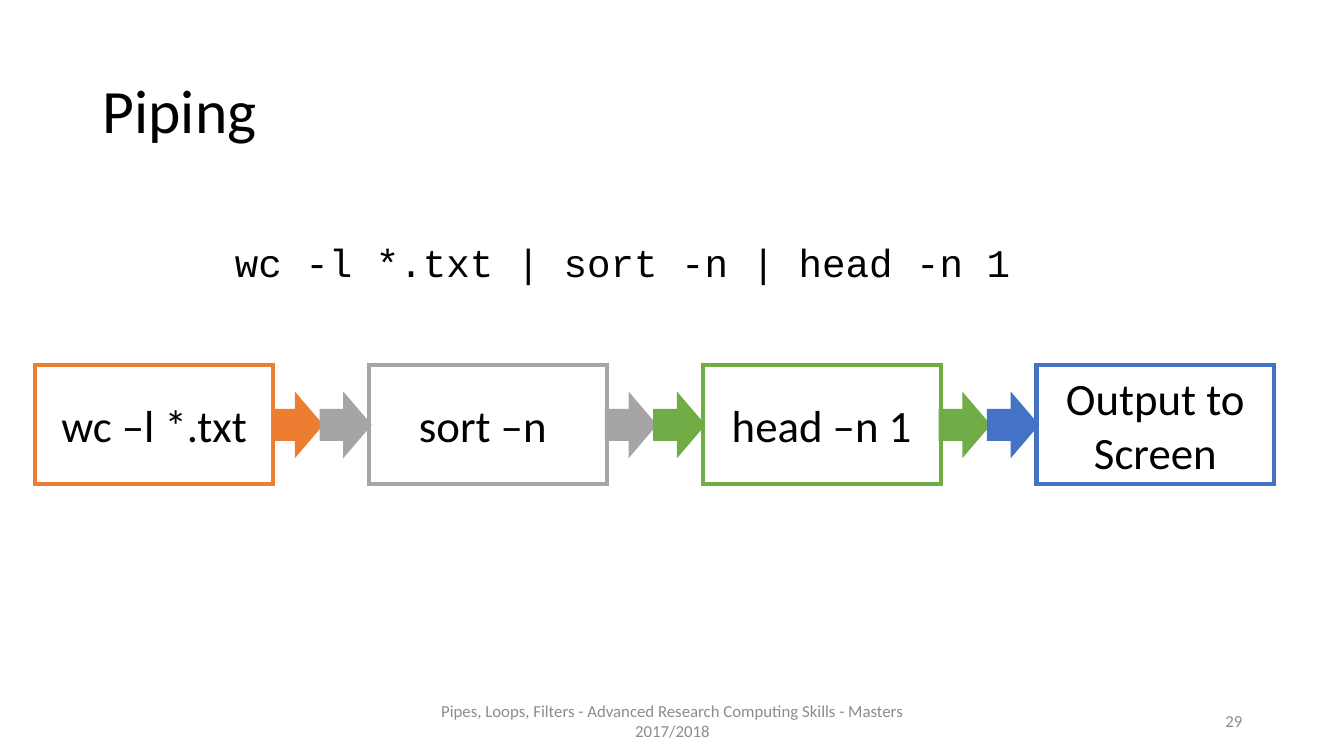
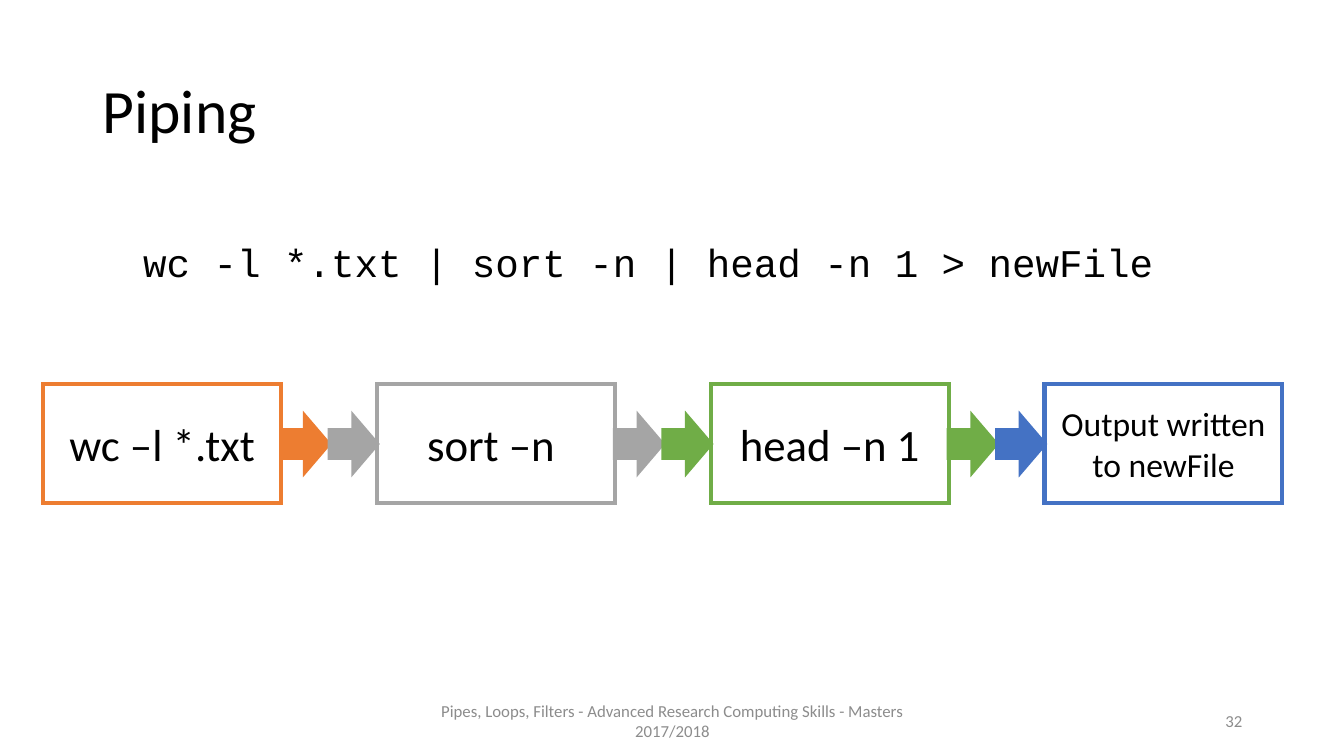
"""Build two slides that explain piping between shell commands."""
from dataclasses import dataclass
from itertools import pairwise

from lxml.etree import SubElement
from pptx import Presentation
from pptx.dml.color import RGBColor
from pptx.enum.shapes import MSO_SHAPE as Shape
from pptx.enum.text import MSO_ANCHOR as Anchor, PP_ALIGN as Align
from pptx.oxml.ns import qn
from pptx.shapes.autoshape import Shape as AutoShape
from pptx.shapes.shapetree import GroupShapes, SlideShapes
from pptx.text.text import TextFrame
from pptx.util import Emu, Pt


@dataclass(frozen=True)
class Theme:
    """Colours, fonts and type sizes of the deck."""
    ink: str = "000000"
    paper: str = "FFFFFF"
    muted: str = "8C8C8C"
    orange: str = "ED7D31"
    gray: str = "A5A5A5"
    green: str = "70AD47"
    blue: str = "4472C4"
    body_font: str = "Calibri"
    code_font: str = "Courier New"
    title_size: int = 44
    step_size: int = 32
    small_step_size: int = 24
    code_size: int = 28
    footer_size: int = 12
    line_width: int = 3


@dataclass(frozen=True)
class Frame:
    """A rectangle in px."""
    left: int
    top: int
    width: int
    height: int


@dataclass(frozen=True)
class Style:
    """The look of a piece of text."""
    size: int
    font: str
    color: str
    align: Align = Align.LEFT
    anchor: Anchor = Anchor.MIDDLE
    spacing: float = 1.0
    indent: int = 10


@dataclass(frozen=True)
class Step:
    """One stage of a pipeline."""
    label: str
    color: str
    size: int


@dataclass(frozen=True)
class PipingPage:
    """What differs from page to page."""
    number: int
    command: str
    command_frame: Frame
    flow_left: int
    flow_top: int
    output: Step


THEME = Theme()
EMU_PER_PX = 9144
PAGE_WIDTH, PAGE_HEIGHT = 1333, 750
STEP_WIDTH, STEP_HEIGHT, STEP_PITCH = 236, 118, 331
ARROW_WIDTH, ARROW_HEIGHT = 47, 55
TITLE_FRAME = Frame(92, 40, 1150, 145)
FOOTER_FRAME = Frame(392, 695, 550, 40)
NUMBER_FRAME = Frame(942, 695, 300, 40)
TITLE = "Piping"
FOOTER = "Pipes, Loops, Filters - Advanced Research Computing Skills - Masters 2017/2018"

TITLE_STYLE = Style(THEME.title_size, THEME.body_font, THEME.ink, spacing=0.9)
FOOTER_STYLE = Style(THEME.footer_size, THEME.body_font, THEME.muted, Align.CENTER)
NUMBER_STYLE = Style(THEME.footer_size, THEME.body_font, THEME.muted, Align.RIGHT)
CODE_STYLE = Style(THEME.code_size, THEME.code_font, THEME.ink, anchor=Anchor.TOP, indent=60)

COMMANDS = (
    Step("wc –l *.txt", THEME.orange, THEME.step_size),
    Step("sort –n ", THEME.gray, THEME.step_size),
    Step("head –n 1", THEME.green, THEME.step_size),
)
PAGES = (
    PipingPage(29, "wc -l *.txt | sort -n | head -n 1", Frame(173, 232, 858, 57), 35, 362,
               Step("Output to Screen", THEME.blue, THEME.step_size)),
    PipingPage(32, "wc -l *.txt | sort -n | head -n 1 > newFile", Frame(82, 232, 1097, 57), 43, 381,
               Step("Output written to newFile", THEME.blue, THEME.small_step_size)),
)


def px(length: int) -> Emu:
    """Turn px into EMU."""
    return Emu(length * EMU_PER_PX)


def place(frame: Frame) -> tuple[Emu, Emu, Emu, Emu]:
    """Give a frame as EMU lengths."""
    return px(frame.left), px(frame.top), px(frame.width), px(frame.height)


def set_all(target: object, values: dict[str, object]) -> None:
    """Set each named attribute of the target."""
    for name, value in values.items():
        setattr(target, name, value)


def write(text_frame: TextFrame, text: str, style: Style) -> None:
    """Write one styled paragraph."""
    set_all(text_frame, {"word_wrap": True, "vertical_anchor": style.anchor,
                         "margin_left": px(style.indent)})
    para = text_frame.paragraphs[0]
    set_all(para, {"alignment": style.align, "line_spacing": style.spacing})
    span = para.add_run()
    span.text = text
    set_all(span.font, {"name": style.font, "size": Pt(style.size)})
    span.font.color.rgb = RGBColor.from_string(style.color)


def add_text(shapes: SlideShapes, frame: Frame, text: str, style: Style) -> None:
    """Add a text box."""
    write(shapes.add_textbox(*place(frame)).text_frame, text, style)


def add_outlined(shapes: GroupShapes, kind: Shape, frame: Frame, fill: str, line: str) -> AutoShape:
    """Add a filled shape with a sharp-cornered outline."""
    shape = shapes.add_shape(kind, *place(frame))
    shape.shadow.inherit = False
    shape.fill.solid()
    shape.fill.fore_color.rgb = RGBColor.from_string(fill)
    shape.line.color.rgb = RGBColor.from_string(line)
    shape.line.width = Pt(THEME.line_width)
    outline = shape.element.spPr.find(qn("a:ln"))
    SubElement(outline, qn("a:miter")).set("lim", "800000")
    return shape


def add_flow(shapes: SlideShapes, left: int, top: int, steps: tuple[Step, ...]) -> None:
    """Draw the steps in a row, with a pair of arrows in every gap."""
    flow = shapes.add_group_shape().shapes
    for index, step in enumerate(steps):
        frame = Frame(left + index * STEP_PITCH, top, STEP_WIDTH, STEP_HEIGHT)
        box = add_outlined(flow, Shape.RECTANGLE, frame, THEME.paper, step.color)
        write(box.text_frame, step.label,
              Style(step.size, THEME.body_font, THEME.ink, Align.CENTER))
    arrow_top = top + (STEP_HEIGHT - ARROW_HEIGHT) // 2 + 1
    for index, (source, target) in enumerate(pairwise(steps)):
        start = left + index * STEP_PITCH
        arrows = ((start + STEP_WIDTH, source.color),
                  (start + STEP_PITCH - ARROW_WIDTH, target.color))
        for arrow_left, color in arrows:
            frame = Frame(arrow_left, arrow_top, ARROW_WIDTH, ARROW_HEIGHT)
            add_outlined(flow, Shape.RIGHT_ARROW, frame, color, color)


def add_page(deck: Presentation, page: PipingPage) -> None:
    """Add one piping slide."""
    shapes = deck.slides.add_slide(deck.slide_layouts[6]).shapes
    add_text(shapes, TITLE_FRAME, TITLE, TITLE_STYLE)
    add_text(shapes, FOOTER_FRAME, FOOTER, FOOTER_STYLE)
    add_text(shapes, NUMBER_FRAME, str(page.number), NUMBER_STYLE)
    add_flow(shapes, page.flow_left, page.flow_top, (*COMMANDS, page.output))
    add_text(shapes, page.command_frame, page.command, CODE_STYLE)


def main() -> None:
    """Build and save the deck."""
    deck = Presentation()
    set_all(deck, {"slide_width": px(PAGE_WIDTH), "slide_height": px(PAGE_HEIGHT)})
    for page in PAGES:
        add_page(deck, page)
    deck.save("out.pptx")


if __name__ == "__main__":
    main()
